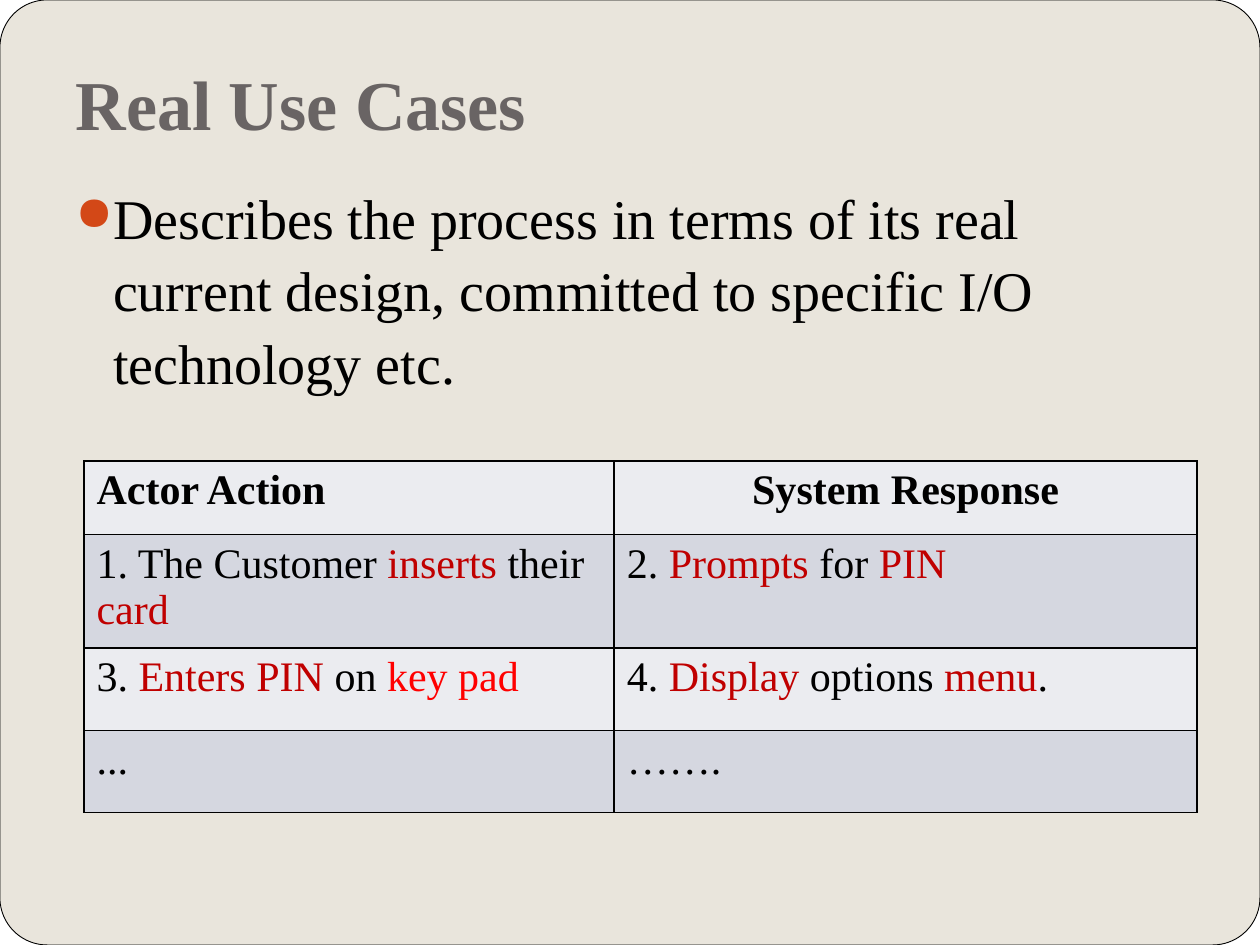
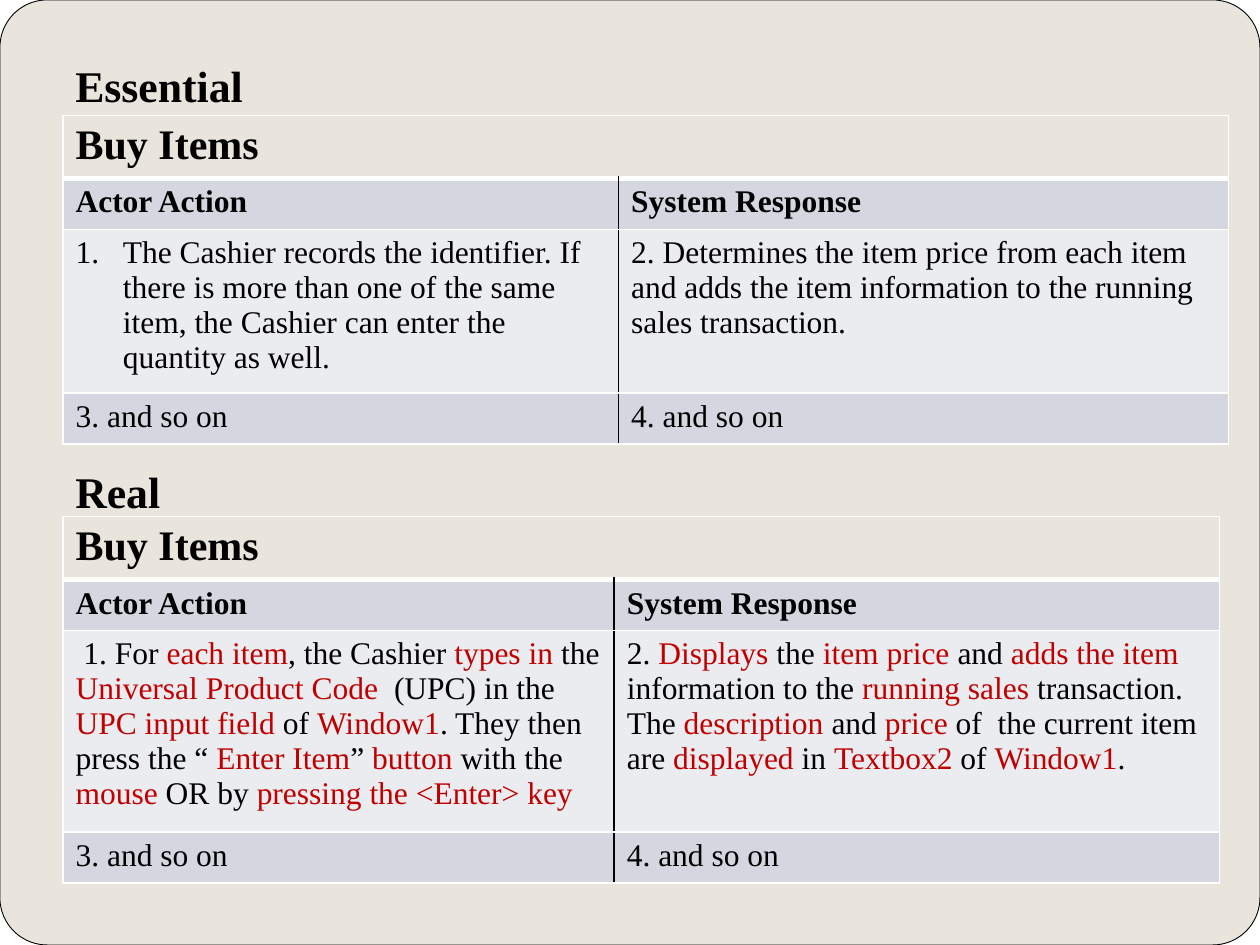
"""Build two slides comparing essential and real use cases."""
import lxml.etree
import pptx
import pptx.dml.color
import pptx.enum.shapes
import pptx.enum.text
import pptx.oxml
import pptx.oxml.ns
import pptx.util

Pt = pptx.util.Pt
hex_color = pptx.dml.color.RGBColor.from_string
qualified = pptx.oxml.ns.qn
ALIGN = pptx.enum.text.PP_ALIGN
FONT = "Times New Roman"
BLACK, WHITE, RED, BRIGHT_RED = "000000", "FFFFFF", "C00000", "FF0000"
SAND, TITLE_GREY, ORANGE = "E9E5DC", "696464", "D34817"
ROW_FILLS = ("EBECF0", "D5D7E0")


def write_text(frame, text, size=18, color=BLACK, bold=False, align=ALIGN.LEFT,
               bullet=(), hanging=0, line_spacing=None):
    """Fill a text frame; text between asterisks turns red."""
    frame.word_wrap = True
    for index, line in enumerate(text.split("\n")):
        paragraph = frame.add_paragraph() if index else frame.paragraphs[0]
        properties = paragraph._p.get_or_add_pPr()
        if hanging:
            properties.set("marL", str(Pt(hanging)))
            properties.set("indent", str(-Pt(hanging)))
        for tag, attributes in bullet:
            element = lxml.etree.SubElement(properties, qualified(tag), attributes)
            if tag == "a:buClr":
                lxml.etree.SubElement(element, qualified("a:srgbClr"), {"val": ORANGE})
        paragraph.alignment = align
        paragraph.line_spacing = line_spacing
        for part_index, part in enumerate(line.split("*")):
            if part:
                run = paragraph.add_run()
                run.text = part
                run.font.name = FONT
                run.font.size = Pt(size)
                run.font.bold = bold
                run.font.color.rgb = hex_color(RED if part_index % 2 else color)


def set_borders(cell, borders):
    """Draw borders given as (side, colour, width), ordered L, R, T, B."""
    properties = cell._tc.get_or_add_tcPr()
    for index, (side, color, width) in enumerate(borders):
        line = lxml.etree.Element(qualified("a:ln" + side), {"w": str(Pt(width))})
        fill = lxml.etree.SubElement(line, qualified("a:solidFill"))
        lxml.etree.SubElement(fill, qualified("a:srgbClr"), {"val": color})
        properties.insert(index, line)


presentation = pptx.Presentation()
presentation.slide_width, presentation.slide_height = Pt(720), Pt(540)
design_slide = presentation.slides.add_slide(presentation.slide_layouts[5])
comparison_slide = presentation.slides.add_slide(presentation.slide_layouts[6])

panel = design_slide.shapes.add_shape(
    pptx.enum.shapes.MSO_SHAPE.ROUNDED_RECTANGLE, 0, 0, Pt(720), Pt(540))
panel.adjustments[0] = 0.05
panel.shadow.inherit = False
panel.fill.solid()
panel.fill.fore_color.rgb = hex_color(SAND)
panel.line.color.rgb = hex_color(BLACK)
panel.line.width = Pt(0.5)
panel.element.nvSpPr.cNvPr.set("id", "20")
master = presentation.slide_master
master.background.fill.solid()
master.background.fill.fore_color.rgb = hex_color(WHITE)
master.shapes.element.insert(2, panel.element)

title = design_slide.shapes.title
title.left, title.top, title.width, title.height = Pt(36), Pt(21.6), Pt(648), Pt(68.4)
title.text_frame.vertical_anchor = pptx.enum.text.MSO_ANCHOR.BOTTOM
title.text_frame.margin_bottom = Pt(7.2)
write_text(title.text_frame, "Real Use Cases", size=40, color=TITLE_GREY, bold=True)

description = design_slide.shapes.add_textbox(Pt(36), Pt(98), Pt(648), Pt(130))
write_text(
    description.text_frame,
    "Describes the process in terms of its real current design, "
    "committed to specific I/O technology etc.",
    size=32, hanging=21.6, line_spacing=1.08,
    bullet=(("a:buClr", {}), ("a:buSzPct", {"val": "85000"}), ("a:buChar", {"char": "●"})))

headings = ("Actor Action", "System Response")
closing = ("3. and so on", "4. and so on")
cash_rows = [
    headings,
    ("1. The Customer *inserts* their *card*", "2. *Prompts* for *PIN*"),
    ("3. *Enters PIN *on *key pad*", "4. *Display* options *menu*."),
    ("...", "……."),
]
essential_rows = [
    ("Buy Items", ""), headings,
    ("The Cashier records the identifier. If there is more than one of the same item, "
     "the Cashier can enter the quantity as well.",
     "2. Determines the item price from each item and adds the item information "
     "to the running sales transaction."),
    closing,
]
real_rows = [
    ("Buy Items", ""), headings,
    (" 1. For *each item*, the Cashier *types in *the *Universal Product Code  *(UPC) in the "
     "*UPC input field* of *Window1*. They then press the “ *Enter Item*” *button* with the "
     "*mouse *OR by *pressing the <Enter> key*",
     "2. *Displays *the *item price *and *adds the item *information to the "
     "*running sales *transaction.\n"
     "The *description* and *price* of  the current item are *displayed *in "
     "*Textbox2* of *Window1*."),
    closing,
]

tables = []
for slide, left, top, widths, heights, rows, outer_color, body_size in (
        (design_slide, 48, 263.5, (303, 333), (42, 47, 47, 47), cash_rows, BLACK, 24),
        (comparison_slide, 36, 66, (317.5, 348.5), (36, 29, 93.6, 29), essential_rows, WHITE, 18),
        (comparison_slide, 36, 295.2, (315, 346), (36, 29, 115.2, 29), real_rows, WHITE, 18)):
    table = slide.shapes.add_table(
        len(rows), len(widths), Pt(left), Pt(top), Pt(sum(widths)), Pt(sum(heights))).table
    table.first_row = table.horz_banding = False
    tables.append(table)
    has_banner = rows[0][1] == ""
    for column, width in zip(table.columns, widths):
        column.width = Pt(width)
    for row_index, (height, texts) in enumerate(zip(heights, rows)):
        table.rows[row_index].height = Pt(height)
        is_banner = has_banner and row_index == 0
        for column_index, text in enumerate(texts):
            cell = table.cell(row_index, column_index)
            if is_banner:
                cell.fill.background()
            else:
                cell.fill.solid()
                cell.fill.fore_color.rgb = hex_color(ROW_FILLS[row_index % 2])
            inner_color = outer_color if is_banner else BLACK
            set_borders(cell, (
                ("L", inner_color if column_index else outer_color, 1),
                ("R", outer_color if column_index else inner_color, 1),
                ("T", outer_color, 3 if has_banner and row_index == 1 else 1),
                ("B", outer_color, 3 if is_banner else 1)))
            numbered = text.startswith("The Cashier")
            centered = not has_banner and text == "System Response"
            write_text(
                cell.text_frame, text,
                size=24 if is_banner else body_size,
                bold=is_banner or texts == headings,
                align=ALIGN.CENTER if centered else ALIGN.LEFT,
                hanging=27 if numbered else 0,
                bullet=(("a:buAutoNum", {"type": "arabicPeriod"}),) if numbered else ())
    if has_banner:
        table.cell(0, 0).merge(table.cell(0, 1))

key_pad = tables[0].cell(2, 0).text_frame.paragraphs[0].runs[-1]
key_pad.font.color.rgb = hex_color(BRIGHT_RED)

for label, top in (("Essential", 30.2), ("Real", 262)):
    heading = comparison_slide.shapes.add_textbox(Pt(36), Pt(top), Pt(144), Pt(37.4))
    write_text(heading.text_frame, label, size=25, bold=True)

presentation.save("out.pptx")
